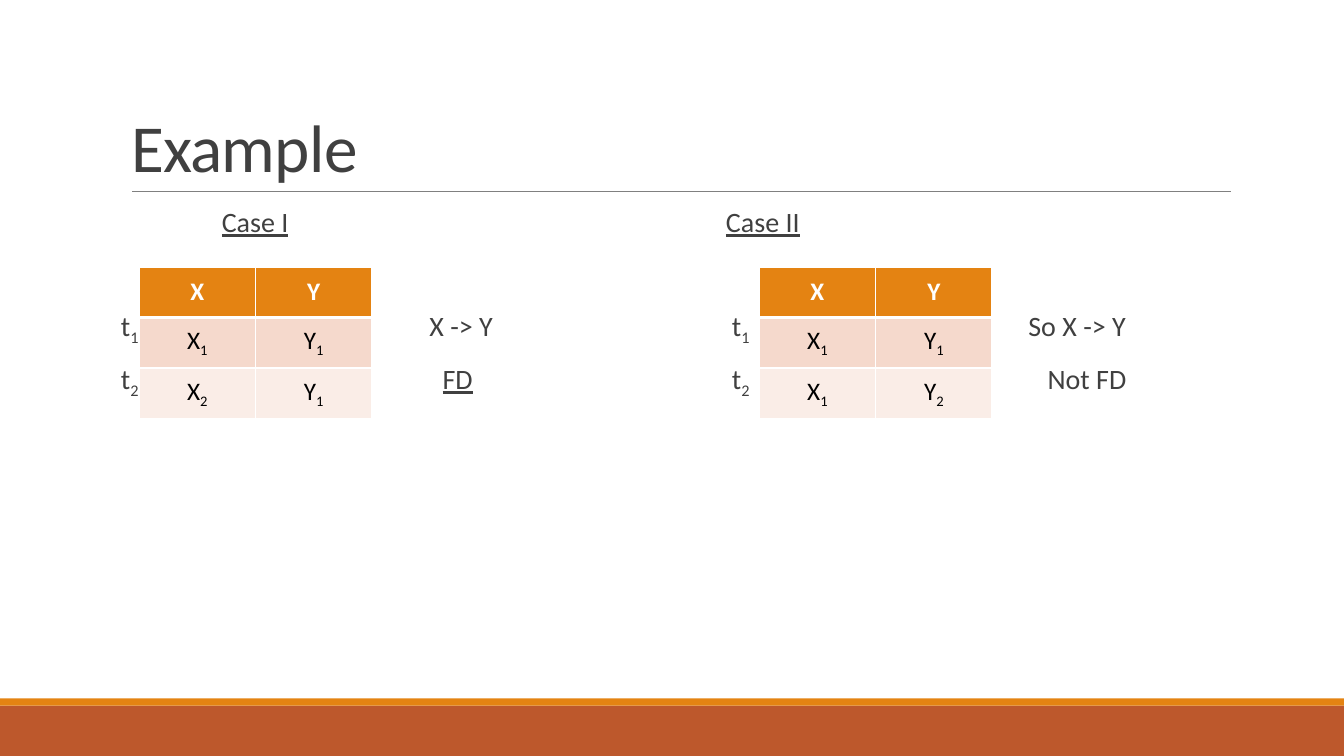
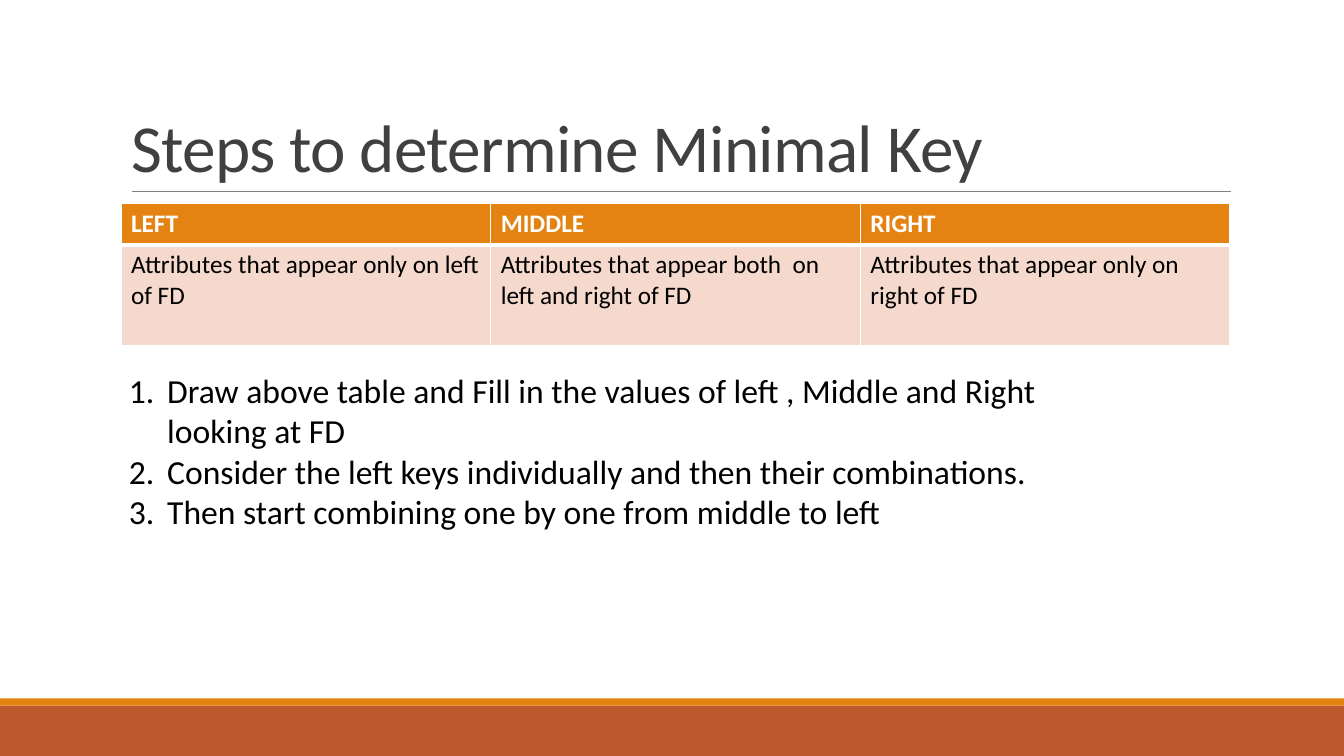
from dataclasses import dataclass

from lxml.etree import SubElement
from pptx import Presentation
from pptx.dml.color import RGBColor as Color
from pptx.enum.shapes import MSO_CONNECTOR as Connector, MSO_SHAPE as Shape
from pptx.enum.text import MSO_ANCHOR as Anchor, PP_ALIGN as Align
from pptx.oxml.ns import qn
from pptx.util import Inches, Pt


@dataclass(frozen=True)
class Theme:
    font: str = "Calibri"
    accent: Color = Color(0xE4, 0x83, 0x12)
    footer: Color = Color(0xBD, 0x58, 0x2C)
    rule: Color = Color(0x80, 0x80, 0x80)
    heading: Color = Color(0x40, 0x40, 0x40)
    body: Color = Color(0, 0, 0)
    white: Color = Color(0xFF, 0xFF, 0xFF)
    bands: tuple = (Color(0xF5, 0xD9, 0xCC), Color(0xFA, 0xED, 0xE7))
    title_size: int = 48
    list_size: int = 24
    label_size: int = 20
    table_size: int = 18


THEME = Theme()
WIDTH, HEIGHT = 13.33, 7.5
LEFT, CONTENT_WIDTH = 1.2, 11
ROW_TOPS = (3.06, 3.59)


def add_run(paragraph, text, size, color, bold=False, underline=False):
    run = paragraph.add_run()
    run.text = text
    font = run.font
    font.name, font.size, font.bold = THEME.font, Pt(size), bold
    font.underline = underline
    font.color.rgb = color
    return run


def add_indexed_text(paragraph, text, size, color, **style):
    base, _, index = text.partition("_")
    add_run(paragraph, base, size, color, **style)
    if index:
        run = add_run(paragraph, index, size, color, **style)
        run.font._element.set("baseline", "-25000")


def add_band(slide, top, height, color):
    band = slide.shapes.add_shape(
        Shape.RECTANGLE, 0, Inches(top), Inches(WIDTH), Inches(height))
    band.shadow.inherit = False
    band.fill.solid()
    band.fill.fore_color.rgb = color
    band.line.fill.background()


def add_title_rule(slide):
    rule = slide.shapes.add_connector(
        Connector.STRAIGHT, Inches(1.31), Inches(1.9), Inches(12.21), Inches(1.9))
    rule.line.color.rgb = THEME.rule
    rule.line.width = Pt(0.5)
    SubElement(rule._element.spPr, qn("a:effectLst"))


def add_titled_slide(presentation, text):
    slide = presentation.slides.add_slide(presentation.slide_layouts[5])
    add_band(slide, 7, 0.5, THEME.footer)
    add_band(slide, 6.93, 0.07, THEME.accent)
    add_title_rule(slide)
    title = slide.shapes.title
    title.left, title.top = Inches(LEFT), Inches(0.31)
    title.width, title.height = Inches(CONTENT_WIDTH), Inches(1.59)
    title.text_frame.vertical_anchor = Anchor.BOTTOM
    paragraph = title.text_frame.paragraphs[0]
    paragraph.alignment = Align.LEFT
    paragraph.line_spacing = 0.85
    run = add_run(paragraph, text, THEME.title_size, THEME.heading)
    run.font._element.set("spc", "-50")
    return slide


def add_label(slide, text, left, top, underline=False):
    box = slide.shapes.add_textbox(Inches(left), Inches(top), Inches(1.6), Inches(0.36))
    frame = box.text_frame
    frame.word_wrap = True
    frame.margin_left = frame.margin_right = 0
    frame.margin_top = frame.margin_bottom = 0
    add_indexed_text(frame.paragraphs[0], text, THEME.label_size, THEME.heading,
                     underline=underline)


def set_borders(cell, top, bottom):
    properties = cell._tc.get_or_add_tcPr()
    for side, points in (("L", 1), ("R", 1), ("T", top), ("B", bottom)):
        line = SubElement(properties, qn(f"a:ln{side}"), w=str(Pt(points)))
        fill = SubElement(line, qn("a:solidFill"))
        SubElement(fill, qn("a:srgbClr"), val=str(THEME.white))


def format_cell(cell, text, row, align, anchor):
    header = row == 0
    set_borders(cell, 3 if row == 1 else 1, 3 if header else 1)
    cell.fill.solid()
    cell.fill.fore_color.rgb = THEME.accent if header else THEME.bands[(row - 1) % 2]
    cell.vertical_anchor = anchor
    paragraph = cell.text_frame.paragraphs[0]
    paragraph.alignment = align
    add_indexed_text(paragraph, text, THEME.table_size,
                     THEME.white if header else THEME.body, bold=header)


def add_grid(slide, rows, left, top, width, heights, align=Align.LEFT, anchor=Anchor.TOP):
    columns = len(rows[0])
    table = slide.shapes.add_table(
        len(rows), columns, Inches(left), Inches(top),
        Inches(width), Inches(sum(heights))).table
    table.horz_banding = False
    for column in table.columns:
        column.width = Inches(width / columns)
    for row, (texts, height) in enumerate(zip(rows, heights)):
        table.rows[row].height = Inches(height)
        for column, text in enumerate(texts):
            format_cell(table.cell(row, column), text, row, align, anchor)


def add_numbered_list(slide, items, left, top, width, height):
    box = slide.shapes.add_textbox(Inches(left), Inches(top), Inches(width), Inches(height))
    frame = box.text_frame
    frame.word_wrap = True
    for number, item in enumerate(items):
        paragraph = frame.add_paragraph() if number else frame.paragraphs[0]
        properties = paragraph._p.get_or_add_pPr()
        properties.set("marL", str(Inches(0.38)))
        properties.set("indent", str(-Inches(0.38)))
        SubElement(properties, qn("a:buFont"), typeface="+mj-lt")
        SubElement(properties, qn("a:buAutoNum"), type="arabicPeriod")
        add_run(paragraph, item, THEME.list_size, THEME.body)


def add_case(slide, heading, heading_left, tuple_left, table_left, rows, findings):
    add_label(slide, heading, heading_left, 2.03, underline=True)
    for name, top in zip(("t_1", "t_2"), ROW_TOPS):
        add_label(slide, name, tuple_left, top)
    for (text, left, underline), top in zip(findings, ROW_TOPS):
        add_label(slide, text, left, top, underline)
    add_grid(slide, [("X", "Y"), *rows], table_left, 2.65, 2.31, [0.5] * 3,
             Align.CENTER, Anchor.MIDDLE)


def add_example_slide(presentation):
    slide = add_titled_slide(presentation, "Example")
    add_case(slide, "Case I", 2.2, 1.2, 1.38,
             [("X_1", "Y_1"), ("X_2", "Y_1")],
             [("X -> Y", 4.26, False), ("FD", 4.39, True)])
    add_case(slide, "Case II", 7.2, 7.26, 7.53,
             [("X_1", "Y_1"), ("X_1", "Y_2")],
             [("So X -> Y", 10.2, False), ("Not FD", 10.39, False)])


def add_minimal_key_slide(presentation):
    slide = add_titled_slide(presentation, "Steps to determine Minimal Key")
    add_grid(slide, [
        ("LEFT", "MIDDLE", "RIGHT"),
        ("Attributes that appear only on left of FD",
         "Attributes that appear both  on left and right of FD",
         "Attributes that appear only on right of FD"),
    ], LEFT, 2.02, CONTENT_WIDTH, [0.41, 1])
    add_numbered_list(slide, [
        "Draw above table and Fill in the values of left , Middle and Right looking at FD",
        "Consider the left keys individually and then their combinations.",
        "Then start combining one by one from middle to left",
    ], 1.18, 3.62, 9.41, 2.42)


def main():
    presentation = Presentation()
    presentation.slide_width = Inches(WIDTH)
    presentation.slide_height = Inches(HEIGHT)
    add_example_slide(presentation)
    add_minimal_key_slide(presentation)
    presentation.save("out.pptx")


if __name__ == "__main__":
    main()
